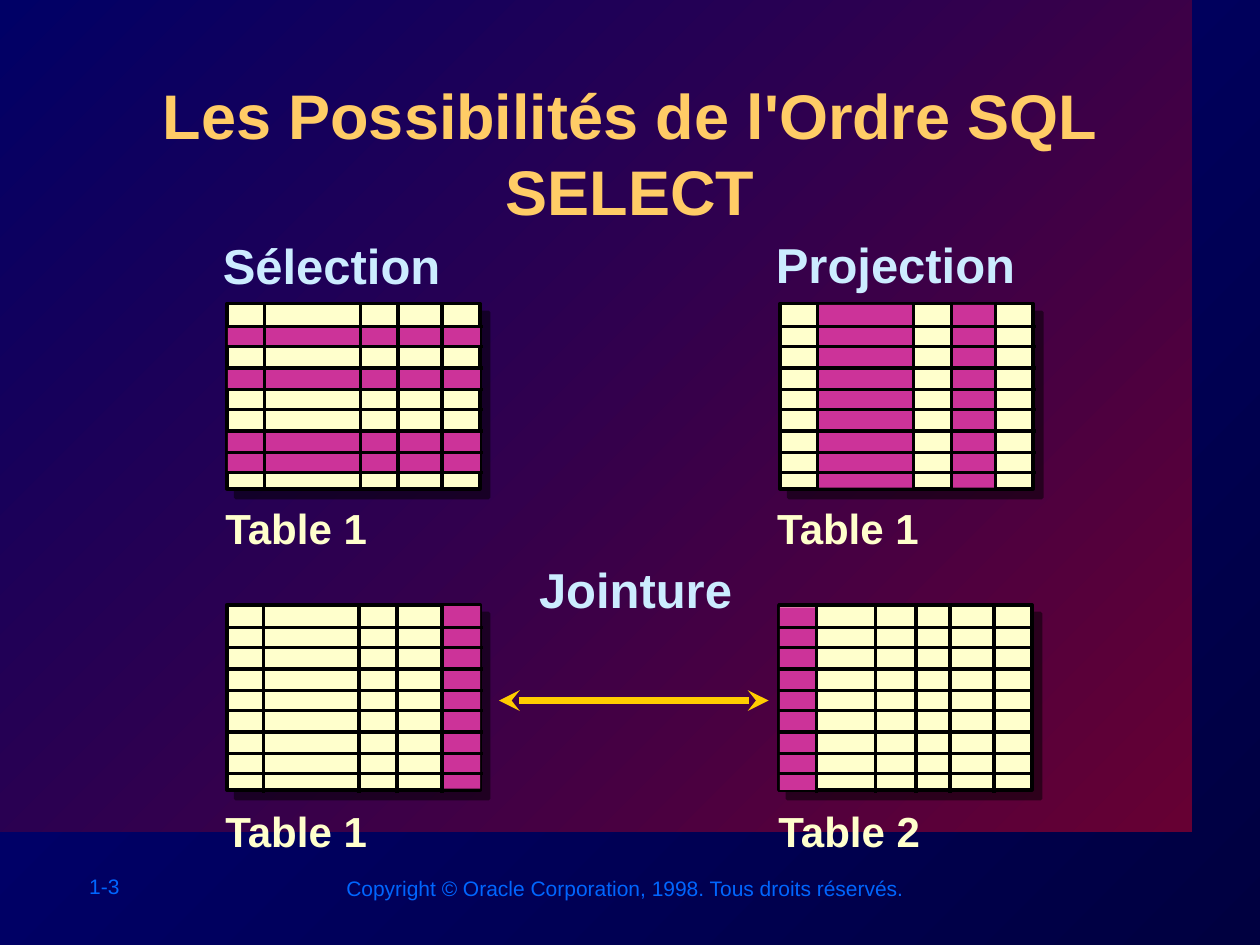
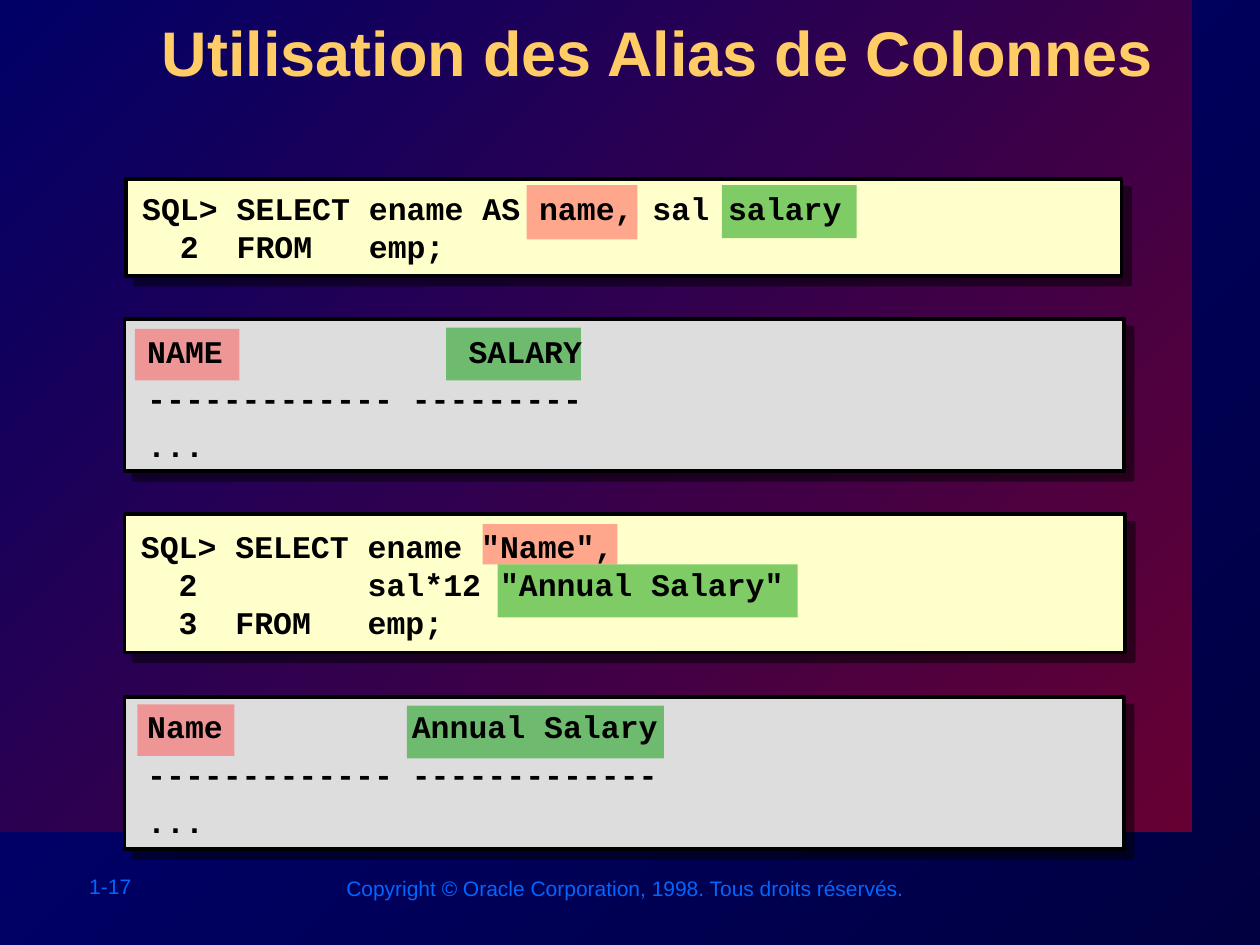
from lxml import etree
from pptx import Presentation
from pptx.dml.color import RGBColor
from pptx.enum.shapes import MSO_CONNECTOR, MSO_SHAPE
from pptx.enum.text import MSO_ANCHOR, MSO_AUTO_SIZE, PP_ALIGN
from pptx.oxml.ns import qn
from pptx.util import Pt

RECT = MSO_SHAPE.RECTANGLE
STRAIGHT = MSO_CONNECTOR.STRAIGHT
LEFT, CENTER = PP_ALIGN.LEFT, PP_ALIGN.CENTER
TOP, MIDDLE = MSO_ANCHOR.TOP, MSO_ANCHOR.MIDDLE
NO_FIT = MSO_AUTO_SIZE.NONE
PX = 9144
BLACK, CREAM, GREY, PINK = "000000", "FFFFCC", "DDDDDD", "CC3399"
RED, GREEN, GOLD, ORANGE = "FF5050", "009900", "FFCC00", "FFCC66"
SKY, BLUE = "CCECFF", "0066FF"
COPYRIGHT = "Copyright © Oracle Corporation, 1998. Tous droits réservés."
rgb = RGBColor.from_string


def write(tf, text, size=18, color=BLACK, font="Arial", bold=True,
          align=LEFT, anchor=TOP, spacing=1.0, wrap=False):
    tf.word_wrap = wrap
    tf.auto_size = NO_FIT
    tf.vertical_anchor = anchor
    for i, line in enumerate(text.split("\n")):
        p = tf.add_paragraph() if i else tf.paragraphs[0]
        p.alignment = align
        p.line_spacing = spacing
        r = p.add_run()
        r.text = line
        r.font.size = Pt(size)
        r.font.name = font
        r.font.bold = bold
        r.font.color.rgb = rgb(color)


def add_rect(s, x, y, w, h, color, framed=False, alpha=100):
    sp = s.shapes.add_shape(RECT, x * PX, y * PX, w * PX, h * PX)
    sp.shadow.inherit = False
    sp.fill.solid()
    sp.fill.fore_color.rgb = rgb(color)
    if alpha < 100:
        clr = sp._element.spPr.find(".//" + qn("a:srgbClr"))
        etree.SubElement(clr, qn("a:alpha"), val=str(alpha * 1000))
    if framed:
        sp.line.color.rgb = rgb(BLACK)
        sp.line.width = Pt(2)
        effects = sp._element.spPr.find(qn("a:effectLst"))
        shadow = etree.SubElement(effects, qn("a:outerShdw"), blurRad="0",
                                  dist=str(Pt(7.1)), dir="2700000", algn="ctr", rotWithShape="0")
        clr = etree.SubElement(shadow, qn("a:srgbClr"), val=BLACK)
        etree.SubElement(clr, qn("a:alpha"), val="50000")
    else:
        sp.line.fill.background()
    return sp


prs = Presentation()
prs.slide_width, prs.slide_height = 1000 * PX, 750 * PX
gradients = [(prs.slide_master.background.fill, "000080", "000040")]

slides = []
for title, number, x, y, w in [
    ("Les Possibilités de l'Ordre SQL SELECT", "1-3", 101, 56, 798),
    ("Utilisation des Alias de Colonnes", "1-17", 100, 6, 844),
]:
    s = prs.slides.add_slide(prs.slide_layouts[5])
    slides.append(s)
    band = add_rect(s, 0, 0, 946, 660, "000066")
    gradients.append((band.fill, "000066", "660033"))
    sp = s.shapes.title
    sp._element.addprevious(band._element)
    sp.left, sp.top, sp.width, sp.height = x * PX, y * PX, w * PX, 96 * PX
    write(sp.text_frame, title, size=36, color=ORANGE, align=CENTER, wrap=True)
    fill = sp._element.find(".//" + qn("a:rPr")).find(qn("a:solidFill"))
    effects = etree.Element(qn("a:effectLst"))
    shadow = etree.SubElement(effects, qn("a:outerShdw"), blurRad="0",
                              dist=str(Pt(3)), dir="2700000", algn="tl")
    etree.SubElement(shadow, qn("a:srgbClr"), val=BLACK)
    fill.addnext(effects)
    for text, x, y, w in [(number, 61, 688, 111), (COPYRIGHT, 265, 690, 466)]:
        tb = s.shapes.add_textbox(x * PX, y * PX, w * PX, 30 * PX)
        write(tb.text_frame, text, size=12, color=BLUE, bold=False)

for fill, start, end in gradients:
    fill.gradient()
    fill.gradient_angle = 315
    for stop, color, position in zip(fill.gradient_stops, (start, end), (0, 1)):
        stop.color.rgb = rgb(color)
        stop.position = position

s = slides[0]
lines = []
for x, y, columns, marks in [
    (180, 241, (30, 106, 136, 171), [(1, 18, 200, 15), (1, 51, 200, 16), (1, 101, 200, 34)]),
    (619, 241, (30, 106, 136, 171), [(31, 1, 74, 145), (136, 1, 34, 145)]),
    (180, 480, (29, 105, 135, 171), [(172, 1, 29, 145)]),
    (618, 480, (30, 77, 109, 136, 171), [(1, 2, 29, 145)]),
]:
    add_rect(s, x, y, 201, 147, CREAM, framed=True)
    for dx, dy, w, h in marks:
        add_rect(s, x + dx, y + dy, w, h, PINK)
    for i in range(8):
        row = y + 18 + 50 * i // 3
        lines.append((x - 1, row, x + 203, row, BLACK, 2))
    for dx in columns:
        lines.append((x + dx, y - 1, x + dx, y + 149, BLACK, 2))
lines.append((396, 556, 610, 556, GOLD, 4))

for x1, y1, x2, y2, color, width in lines:
    c = s.shapes.add_connector(STRAIGHT, x1 * PX, y1 * PX, x2 * PX, y2 * PX)
    c.line.color.rgb = rgb(color)
    c.line.width = Pt(width)
    etree.SubElement(c._element.spPr, qn("a:effectLst"))
    if color == GOLD:
        for end in ("a:headEnd", "a:tailEnd"):
            etree.SubElement(c.line._get_or_add_ln(), qn(end), type="stealth")

for text, x, y, w, h, size, color in [
    ("Sélection", 167, 182, 193, 57, 28, SKY),
    ("Projection", 606, 181, 210, 57, 28, SKY),
    ("Jointure", 418, 439, 173, 57, 28, SKY),
    ("Table 1", 169, 394, 135, 50, 24, CREAM),
    ("Table 1", 607, 394, 135, 50, 24, CREAM),
    ("Table 1", 169, 634, 135, 50, 24, CREAM),
    ("Table 2", 608, 634, 135, 50, 24, CREAM),
]:
    tb = s.shapes.add_textbox(x * PX, y * PX, w * PX, h * PX)
    write(tb.text_frame, text, size=size, color=color)

s = slides[1]
for x, y, w, h, color in [
    (100, 142, 790, 77, CREAM),
    (99, 253, 793, 121, GREY),
    (99, 408, 794, 110, CREAM),
    (99, 553, 793, 121, GREY),
]:
    add_rect(s, x, y, w, h, color, framed=True)

for x, y, w, h, color in [
    (418, 147, 88, 43, RED),
    (107, 261, 83, 41, RED),
    (573, 147, 107, 42, GREEN),
    (354, 260, 107, 42, GREEN),
    (383, 416, 107, 32, RED),
    (109, 559, 77, 41, RED),
    (395, 448, 238, 42, GREEN),
    (323, 560, 204, 42, GREEN),
]:
    add_rect(s, x, y, w, h, color, alpha=50)

for text, x, y, w, h, anchor, spacing in [
    ("SQL> SELECT ename AS name, sal salary\n  2  FROM   emp;",
     103, 140, 793, 80, MIDDLE, 1.0),
    ("NAME             SALARY\n------------- ---------\n...",
     107, 251, 365, 123, TOP, 1.25),
    ('SQL> SELECT ename "Name",\n  2         sal*12 "Annual Salary"\n  3  FROM   emp;',
     102, 407, 797, 113, MIDDLE, 1.0),
    ("Name          Annual Salary\n------------- -------------\n...",
     107, 549, 425, 123, TOP, 1.25),
]:
    tb = s.shapes.add_textbox(x * PX, y * PX, w * PX, h * PX)
    write(tb.text_frame, text, font="Courier New", anchor=anchor, spacing=spacing)

prs.save("out.pptx")
